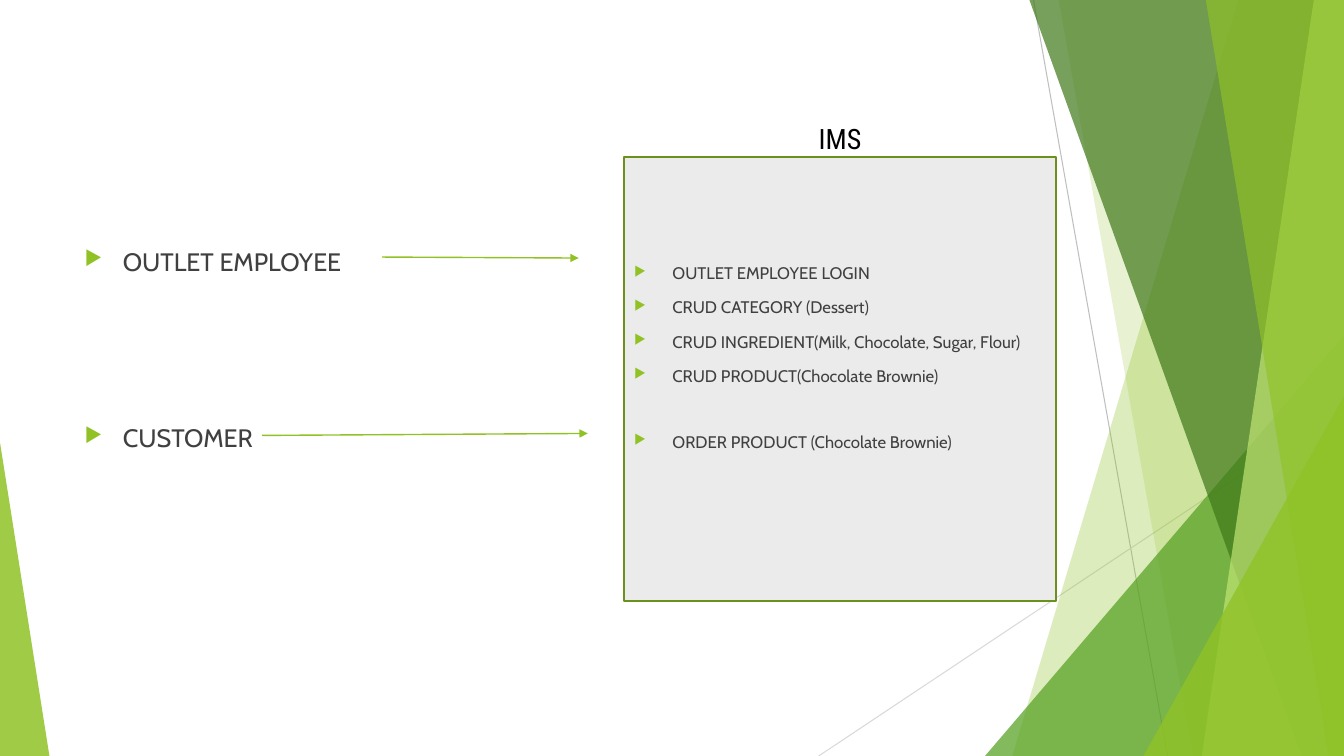
from dataclasses import dataclass

from lxml.etree import SubElement
from pptx import Presentation
from pptx.dml.color import RGBColor
from pptx.enum.shapes import MSO_AUTO_SHAPE_TYPE as Preset, MSO_CONNECTOR as Connector
from pptx.enum.text import MSO_ANCHOR as Anchor
from pptx.oxml.ns import qn
from pptx.shapes.base import BaseShape
from pptx.slide import Slide
from pptx.text.text import TextFrame, _Paragraph as Paragraph
from pptx.util import Emu, Pt

PX = 9144  # 100 px to the inch
WIDTH, HEIGHT = 1333, 750
BULLET_INDENT = 38


@dataclass(frozen=True)
class Theme:
    lime: str = "90C226"
    pale_lime: str = "C0E474"
    green: str = "54A021"
    dark_green: str = "3F7819"
    panel: str = "EBEBEB"
    panel_border: str = "6B901C"
    ray: str = "BFBFBF"
    light_ray: str = "D9D9D9"
    text: str = "404040"
    title: str = "000000"
    body_font: str = "Cabin"
    title_font: str = "Roboto Condensed"
    actor_size: int = 18
    action_size: int = 12
    title_size: int = 20


THEME = Theme()


@dataclass(frozen=True)
class Box:
    left: int
    top: int
    width: int
    height: int


@dataclass(frozen=True)
class Line:
    start: tuple[int, int]
    end: tuple[int, int]
    color: str = THEME.lime
    weight: float = 1
    arrow: bool = True


@dataclass(frozen=True)
class Pane:
    """A full-height pane, from its top-left and bottom-left x to the right edge."""
    top_left: int
    bottom_left: int
    color: str
    opacity: int


@dataclass(frozen=True)
class Triangle:
    box: Box
    apex: int
    color: str
    opacity: int


@dataclass(frozen=True)
class BulletList:
    box: Box
    inset_top: int
    size: int
    gap: float
    items: tuple[str, ...]


RAYS = (
    Line((1025, 0), (1158, HEIGHT), THEME.ray, 0.75, False),
    Line((WIDTH, 403), (812, HEIGHT), THEME.light_ray, 0.75, False),
)
FACETS = (
    Pane(1228, 1004, THEME.lime, 30),
    Pane(1050, 1183, THEME.lime, 20),
    Triangle(Box(977, 333, 356, 417), 1, THEME.green, 72),
    Pane(1021, 1291, THEME.dark_green, 70),
    Pane(1303, 1192, THEME.pale_lime, 70),
    Pane(1196, 1318, THEME.lime, 65),
    Triangle(Box(1134, 393, 199, 357), 1, THEME.lime, 80),
    Triangle(Box(0, 439, 49, 311), 0, THEME.lime, 85),
)
SYSTEM_PANEL = Box(619, 156, 428, 440)
SYSTEM_TITLE = Box(752, 116, 183, 44)
LISTS = (
    BulletList(Box(74, 62, 529, 598), 182, THEME.actor_size, 104.5,
               ("OUTLET EMPLOYEE", "CUSTOMER")),
    BulletList(Box(619, 255, 428, 194), 173, THEME.action_size, 10,
               ("ORDER PRODUCT (Chocolate Brownie)",)),
    BulletList(Box(619, 160, 428, 177), 101, THEME.action_size, 10,
               ("OUTLET EMPLOYEE LOGIN", "CRUD CATEGORY (Dessert)",
                "CRUD INGREDIENT(Milk, Chocolate, Sugar, Flour)",
                "CRUD PRODUCT(Chocolate Brownie)")),
)
ARROWS = (
    Line((379, 255), (574, 256)),
    Line((260, 432), (583, 430)),
)


def px(*lengths: int) -> list[Emu]:
    return [Emu(length * PX) for length in lengths]


def placed(box: Box) -> list[Emu]:
    return px(box.left, box.top, box.width, box.height)


def paint(shape: BaseShape, color: str, opacity: int = 100) -> None:
    """Give a shape a flat fill, without line or shadow."""
    shape.shadow.inherit = False
    shape.fill.solid()
    shape.fill.fore_color.rgb = RGBColor.from_string(color)
    shape.line.fill.background()
    if opacity < 100:
        color_element = shape.fill._xPr.find(f".//{qn('a:srgbClr')}")
        SubElement(color_element, qn("a:alpha"), val=str(opacity * 1000))


def draw_line(slide: Slide, line: Line) -> None:
    connector = slide.shapes.add_connector(Connector.STRAIGHT, *px(*line.start, *line.end))
    connector.line.color.rgb = RGBColor.from_string(line.color)
    connector.line.width = Pt(line.weight)
    if line.arrow:
        SubElement(connector.line._get_or_add_ln(), qn("a:tailEnd"), type="triangle")
    SubElement(connector._element.spPr, qn("a:effectLst"))


def draw_facet(slide: Slide, facet: Pane | Triangle) -> None:
    if isinstance(facet, Triangle):
        shape = slide.shapes.add_shape(Preset.ISOSCELES_TRIANGLE, *placed(facet.box))
        shape.adjustments[0] = facet.apex
    else:
        builder = slide.shapes.build_freeform(facet.top_left, 0, scale=PX)
        builder.add_line_segments(
            [(WIDTH, 0), (WIDTH, HEIGHT), (facet.bottom_left, HEIGHT)], close=True)
        shape = builder.convert_to_shape()
    paint(shape, facet.color, facet.opacity)


def draw_panel(slide: Slide) -> None:
    panel = slide.shapes.add_shape(Preset.RECTANGLE, *placed(SYSTEM_PANEL))
    paint(panel, THEME.panel)
    panel.line.color.rgb = RGBColor.from_string(THEME.panel_border)
    panel.line.width = Pt(1.5)


def add_text_frame(slide: Slide, box: Box, inset_left: int, inset_top: int) -> TextFrame:
    frame = slide.shapes.add_textbox(*placed(box)).text_frame
    frame.word_wrap = True
    frame.vertical_anchor = Anchor.TOP
    frame.margin_left, frame.margin_top = px(inset_left, inset_top)
    return frame


def style(paragraph: Paragraph, font_name: str, size: int, color: str) -> None:
    for run in paragraph.runs:
        run.font.name = font_name
        run.font.size = Pt(size)
        run.font.color.rgb = RGBColor.from_string(color)


def add_bullet(paragraph: Paragraph) -> None:
    properties = paragraph._p.get_or_add_pPr()
    indent = BULLET_INDENT * PX
    properties.set("marL", str(indent))
    properties.set("indent", str(-indent))
    SubElement(SubElement(properties, qn("a:buClr")), qn("a:srgbClr"), val=THEME.lime)
    SubElement(properties, qn("a:buSzPct"), val="80000")
    SubElement(properties, qn("a:buChar"), char="▶")


def draw_list(slide: Slide, bullets: BulletList) -> None:
    frame = add_text_frame(slide, bullets.box, 10, bullets.inset_top)
    frame.text = "\n".join(bullets.items)
    for index, paragraph in enumerate(frame.paragraphs):
        paragraph.space_before = Pt(bullets.gap if index else 0)
        add_bullet(paragraph)
        style(paragraph, THEME.body_font, bullets.size, THEME.text)


def draw_title(slide: Slide) -> None:
    frame = add_text_frame(slide, SYSTEM_TITLE, 60, 5)
    frame.text = "IMS"
    style(frame.paragraphs[0], THEME.title_font, THEME.title_size, THEME.title)


def main() -> None:
    presentation = Presentation()
    presentation.slide_width, presentation.slide_height = px(WIDTH, HEIGHT)
    slide = presentation.slides.add_slide(presentation.slide_layouts[6])
    for ray in RAYS:
        draw_line(slide, ray)
    for facet in FACETS:
        draw_facet(slide, facet)
    draw_panel(slide)
    for bullets in LISTS:
        draw_list(slide, bullets)
    for arrow in ARROWS:
        draw_line(slide, arrow)
    draw_title(slide)
    presentation.save("out.pptx")


if __name__ == "__main__":
    main()
